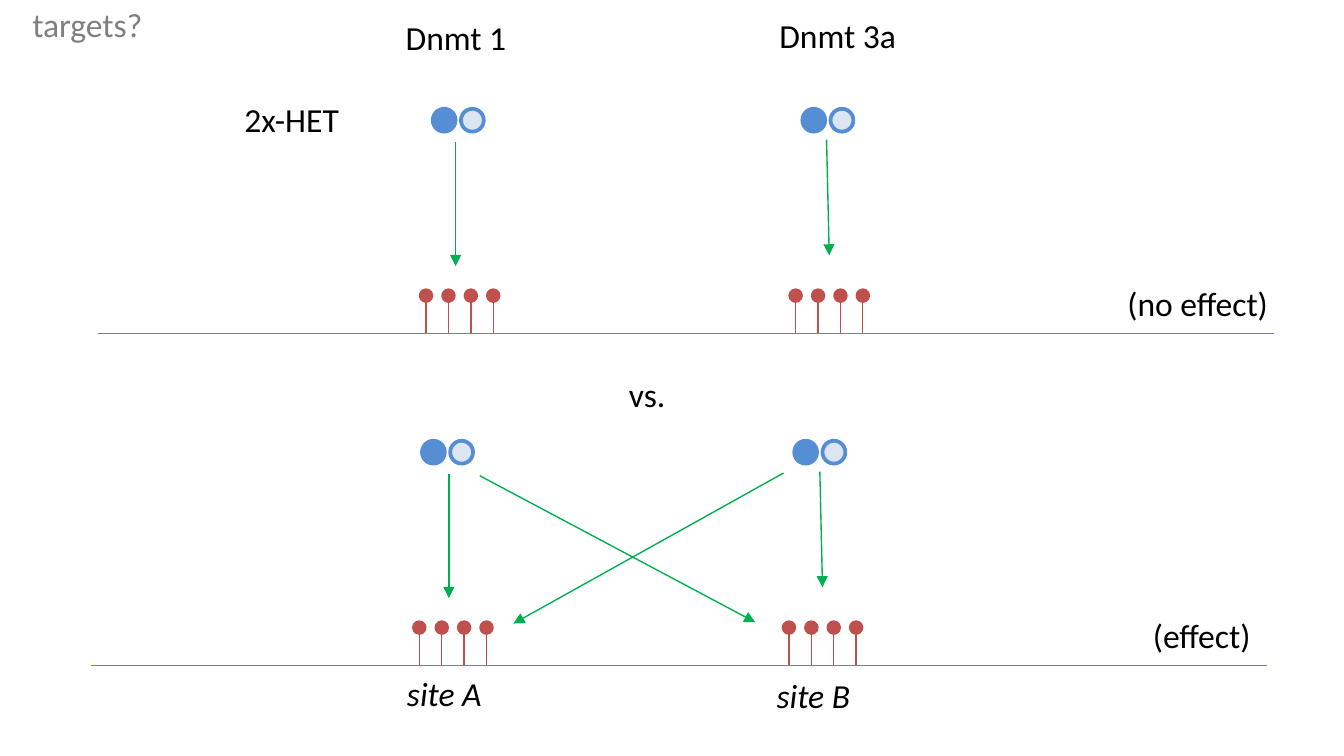
from lxml.etree import SubElement
from pptx import Presentation
from pptx.dml.color import RGBColor
from pptx.enum.shapes import MSO_CONNECTOR as CONNECTOR, MSO_SHAPE as SHAPE
from pptx.enum.text import MSO_ANCHOR as ANCHOR, MSO_AUTO_SIZE as AUTO_SIZE, PP_ALIGN as ALIGN
from pptx.oxml.ns import qn
from pptx.util import Inches, Pt

BLACK = RGBColor(0x00, 0x00, 0x00)
GREY = RGBColor(0x80, 0x80, 0x80)
GREEN = RGBColor(0x00, 0xB0, 0x50)
OLIVE = RGBColor(0x77, 0x93, 0x3C)
BLUE = RGBColor(0x55, 0x8E, 0xD5)
PALE_BLUE = RGBColor(0xDC, 0xE6, 0xF2)
RED = RGBColor(0xC0, 0x50, 0x4D)

SLIDE_WIDTH = 10
SLIDE_HEIGHT = SLIDE_WIDTH * 9 / 16
TEXT_HEIGHT = 0.4
ALLELE_SIZE, ALLELE_STEP = 0.17, 0.21
HEAD_SIZE, SITES, SITES_WIDTH = 0.08, 4, 0.5
SCENE_STEP, SCENE_SHIFT = 2.47, -0.05


def fill_text(sp, text, color=BLACK, italic=False):
    tf = sp.text_frame
    frame_format = {"word_wrap": False, "auto_size": AUTO_SIZE.NONE, "vertical_anchor": ANCHOR.TOP}
    for name, value in frame_format.items():
        setattr(tf, name, value)
    p = tf.paragraphs[0]
    p.alignment = ALIGN.LEFT
    r = p.add_run()
    r.text = text
    r.font.color.rgb = color
    for name, value in {"name": "Calibri", "size": Pt(18), "italic": italic}.items():
        setattr(r.font, name, value)


def add_title(slide, text, x, y, width):
    title = slide.shapes.title
    place = {"left": x, "top": y, "width": width, "height": TEXT_HEIGHT}
    for name, value in place.items():
        setattr(title, name, Inches(value))
    fill_text(title, text, GREY)


def add_label(shapes, text, x, y, width, italic=False):
    sp = shapes.add_textbox(Inches(x), Inches(y), Inches(width), Inches(TEXT_HEIGHT))
    fill_text(sp, text, italic=italic)


def add_line(shapes, x1, y1, x2, y2, color):
    line = shapes.add_connector(CONNECTOR.STRAIGHT, Inches(x1), Inches(y1), Inches(x2), Inches(y2))
    line.line.color.rgb = color
    line.line.width = Pt(0.75)
    SubElement(line._element.spPr, qn("a:effectLst"))
    return line


def add_arrow(shapes, x1, y1, x2, y2):
    arrow = add_line(shapes, x1, y1, x2, y2, GREEN)
    SubElement(arrow._element.spPr.find(qn("a:ln")), qn("a:tailEnd"), type="triangle")


def add_dot(shapes, x, y, size, fill, outline):
    sp = shapes.add_shape(SHAPE.OVAL, Inches(x), Inches(y), Inches(size), Inches(size))
    sp.shadow.inherit = False
    sp.fill.solid()
    sp.fill.fore_color.rgb = fill
    sp.line.color.rgb = outline
    sp.line.width = Pt(2)


def add_alleles(shapes, x, y):
    for i, fill in enumerate((BLUE, PALE_BLUE)):
        add_dot(shapes, x + i * ALLELE_STEP, y, ALLELE_SIZE, fill, BLUE)


def add_methyl_sites(shapes, x, dna_y):
    for i in range(SITES):
        stem = x + i * SITES_WIDTH / (SITES - 1)
        add_line(shapes, stem, dna_y - 0.23, stem, dna_y, RED)
        add_dot(shapes, stem - HEAD_SIZE / 2, dna_y - 0.32, HEAD_SIZE, RED, RED)


def add_scene(slide, dx, dy, allele_xs):
    shapes = slide.shapes.add_group_shape().shapes
    dna_y = 2.48 + dy
    add_line(shapes, 0.73 + dx, dna_y, 9.48 + dx, dna_y, OLIVE)
    for x in allele_xs:
        add_alleles(shapes, x, 0.81 + dy)
    add_arrow(shapes, 3.39 + dx, 1.06 + dy, 3.39 + dx, 1.98 + dy)
    add_arrow(shapes, 6.15 + dx, 1.04 + dy, 6.17 + dx, 1.9 + dy)
    for x in (3.17, 5.92):
        add_methyl_sites(shapes, x + dx, dna_y)
    return shapes


def main():
    prs = Presentation()
    prs.slide_width, prs.slide_height = Inches(SLIDE_WIDTH), Inches(SLIDE_HEIGHT)
    slide = prs.slides.add_slide(prs.slide_layouts[5])

    add_title(slide, "targets?", 0.14, -0.02, 1.03)
    add_label(slide.shapes, "Dnmt 1", 2.92, 0.08, 0.96)
    add_label(slide.shapes, "Dnmt 3a", 5.7, 0.06, 1.08)
    add_label(slide.shapes, "2x-HET", 1.72, 0.69, 0.92)
    add_label(slide.shapes, "vs.", 4.58, 2.73, 0.48)

    no_effect = add_scene(slide, 0, 0, (3.22, 5.97))
    add_label(no_effect, "(no effect)", 8.29, 2.06, 1.27)

    effect = add_scene(slide, SCENE_SHIFT, SCENE_STEP, (3.14, 5.91))
    add_arrow(effect, 3.57, 3.54, 5.62, 4.63)
    add_arrow(effect, 5.83, 3.52, 3.82, 4.64)
    add_label(effect, "(effect)", 8.48, 4.53, 0.94)
    add_label(effect, "site A", 2.93, 4.96, 0.76, italic=True)
    add_label(effect, "site B", 5.68, 4.97, 0.75, italic=True)

    prs.save("out.pptx")


if __name__ == "__main__":
    main()
